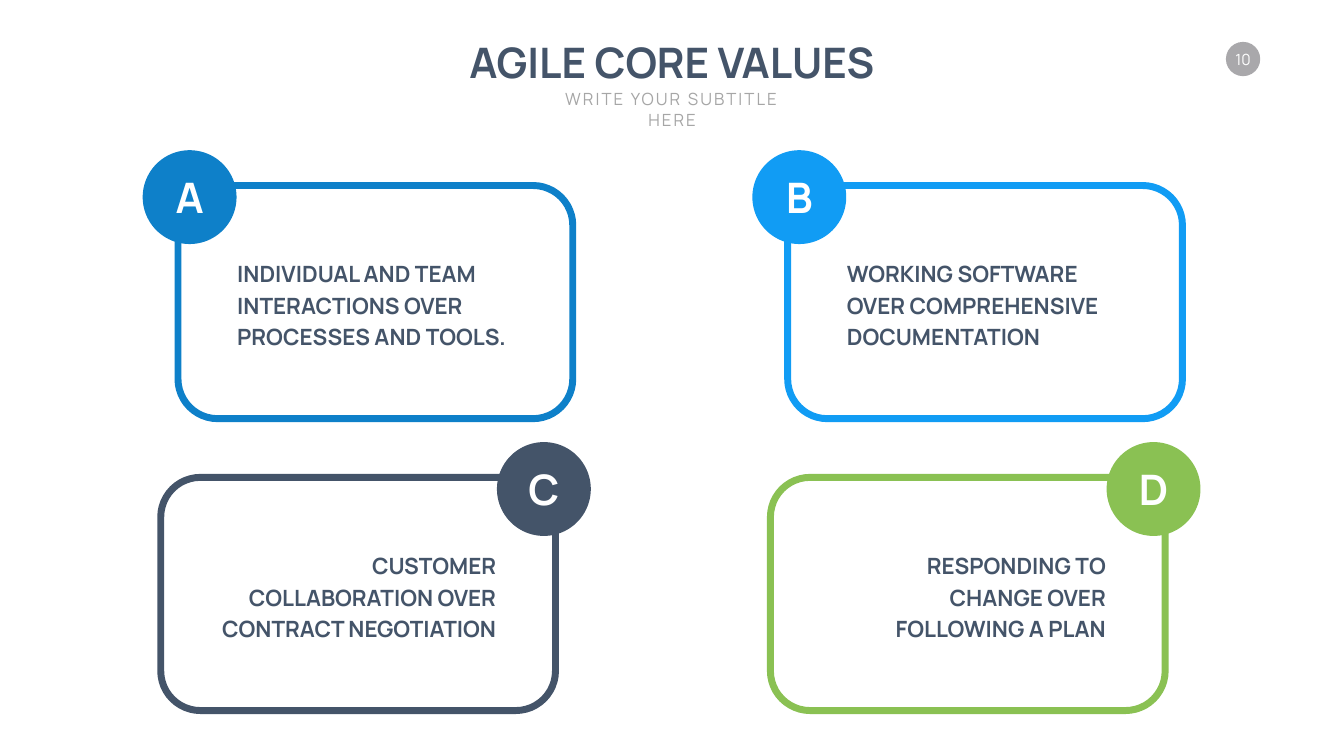
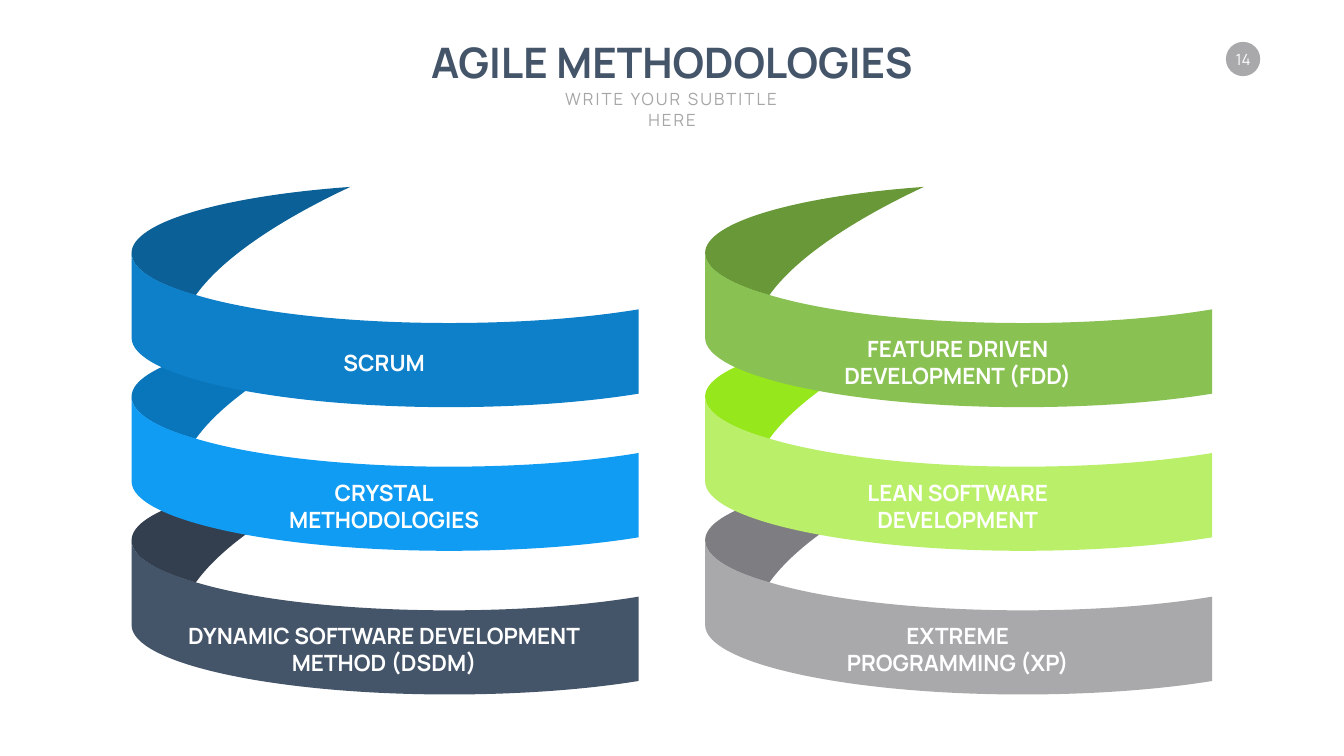
from dataclasses import dataclass, field
from itertools import chain, islice

from lxml import etree
from pptx import Presentation
from pptx.dml.color import RGBColor
from pptx.enum.shapes import MSO_SHAPE
from pptx.enum.text import MSO_ANCHOR, PP_ALIGN
from pptx.oxml.ns import qn
from pptx.util import Cm, Pt


@dataclass(frozen=True)
class Theme:
    white: str = "FFFFFF"
    navy: str = "445469"
    midnight: str = "333F4F"
    blue: str = "0E80C9"
    deep_blue: str = "0A6097"
    sky: str = "119CF4"
    deep_sky: str = "0976BB"
    green: str = "8AC153"
    deep_green: str = "689837"
    lime: str = "BAEF69"
    deep_lime: str = "96E71B"
    silver: str = "A9A8AB"
    deep_silver: str = "7E7D81"
    pale: str = "A6A6A6"
    fonts: dict = field(default_factory=lambda: {
        "heading": {"name": "Manrope", "size": Pt(60), "bold": True},
        "label": {"name": "Manrope", "size": Pt(32), "bold": True},
        "subtitle": {"name": "Manrope", "size": Pt(24), "bold": False},
        "number": {"name": "Manrope", "size": Pt(22), "bold": False},
    })


THEME = Theme()
SLIDE_WIDTH, SLIDE_HEIGHT = 67.72, 38.1

CARD_WIDTH, CARD_HEIGHT = 19.89, 11.75
CARD_COLUMN, CARD_ROW = 30.72, 14.71
BADGE_SIZE, BADGE_OVERHANG = 4.73, 1.78
CARD_TEXT_WIDTH, CARD_TEXT_HEIGHT = 14.43, 5

RIBBON_TOP, RIBBON_PITCH = 12.75, 7.24
RIBBON_FRONT = [
    [(25.55, 2.84)],
    [(25.55, 7.09)],
    [(22.89, 7.52), (19.58, 7.77), (16, 7.77)],
    [(7.16, 7.77), (0, 6.2), (0, 4.27)],
    [(0, 0)],
    [(0, 0.81), (1.22, 1.55), (3.28, 2.13)],
    [(6.2, 3), (10.82, 3.53), (16, 3.53)],
    [(19.58, 3.53), (22.89, 3.28), (25.55, 2.84)],
]
RIBBON_BACK = [
    [(11.02, -3.33)],
    [(8.79, -2.29), (4.93, -0.25), (3.23, 2.13)],
    [(1.19, 1.55), (0, 0.81), (0, 0)],
    [(0, -1.55), (4.62, -2.87), (11.02, -3.33)],
]


def write(shape, lines, style, color, align=PP_ALIGN.CENTER,
          anchor=MSO_ANCHOR.MIDDLE, wrap=False, inset=None, **spacing):
    frame = shape.text_frame
    settings = {"word_wrap": wrap, "vertical_anchor": anchor}
    if inset is not None:
        for side in ("left", "top", "right", "bottom"):
            settings[f"margin_{side}"] = Cm(inset)
    for key, value in settings.items():
        setattr(frame, key, value)
    for index, line in enumerate(lines):
        paragraph = frame.paragraphs[0] if index == 0 else frame.add_paragraph()
        for key, value in {"alignment": align, **spacing}.items():
            setattr(paragraph, key, value)
        run = paragraph.add_run()
        run.text = line
        for key, value in THEME.fonts[style].items():
            setattr(run.font, key, value)
        run.font.color.rgb = RGBColor.from_string(color)
    return frame


def add_text(slide, box, lines, style, color, **options):
    return write(slide.shapes.add_textbox(*map(Cm, box)), lines, style, color, **options)


def paint(shape, fill, border=None, width=None):
    shape.shadow.inherit = False
    shape.fill.solid()
    shape.fill.fore_color.rgb = RGBColor.from_string(fill)
    if border:
        shape.line.color.rgb = RGBColor.from_string(border)
        shape.line.width = Cm(width)
    else:
        shape.line.fill.background()


def add_disc(slide, left, top, size, color, text, style):
    disc = slide.shapes.add_shape(MSO_SHAPE.OVAL, *map(Cm, (left, top, size, size)))
    paint(disc, color)
    write(disc, [text], style, THEME.white, inset=0)


def add_header(slide, title, number):
    add_disc(slide, 61.77, 2.11, 1.73, THEME.silver, number, "number")
    add_text(slide, (21.22, 1.7, 25.27, 2.82), [title], "heading", THEME.navy,
             anchor=MSO_ANCHOR.TOP)
    subtitle = add_text(slide, (26.97, 4.37, 13.79, 1.27), ["WRITE YOUR SUBTITLE HERE"],
                        "subtitle", THEME.pale, anchor=MSO_ANCHOR.TOP, wrap=True)
    subtitle.paragraphs[0].runs[0]._r.get_or_add_rPr().set("spc", "300")


def add_card(slide, left, top, letter, value, color, mirrored):
    card = slide.shapes.add_shape(MSO_SHAPE.ROUNDED_RECTANGLE,
                                  *map(Cm, (left, top, CARD_WIDTH, CARD_HEIGHT)))
    card.adjustments[0] = 0.17
    paint(card, THEME.white, color, 0.35)
    badge_shift = CARD_WIDTH - BADGE_SIZE + BADGE_OVERHANG if mirrored else -BADGE_OVERHANG
    add_disc(slide, left + badge_shift, top - BADGE_OVERHANG, BADGE_SIZE, color,
             letter, "heading")
    margin = (CARD_WIDTH - CARD_TEXT_WIDTH) / 2
    add_text(slide, (left + margin, top + 3.42, CARD_TEXT_WIDTH, CARD_TEXT_HEIGHT),
             [value], "label", THEME.navy, wrap=True, line_spacing=Pt(45),
             align=PP_ALIGN.RIGHT if mirrored else PP_ALIGN.LEFT)


def bend(outline, segments):
    strokes = iter(list(outline._element.iter(qn("a:lnTo"))))
    for segment in segments[1:]:
        first, *rest = islice(strokes, len(segment))
        if not rest:
            continue
        curve = etree.Element(qn("a:cubicBezTo"))
        first.addprevious(curve)
        for stroke in (first, *rest):
            curve.append(stroke[0])
            stroke.getparent().remove(stroke)


def add_outline(slide, left, top, segments, color):
    points = [(Cm(left + x), Cm(top + y)) for x, y in chain.from_iterable(segments)]
    builder = slide.shapes.build_freeform(*points[0])
    builder.add_line_segments(points[1:], close=True)
    outline = builder.convert_to_shape()
    bend(outline, segments)
    paint(outline, color)


def add_ribbon(slide, left, top, lines, front, back):
    add_outline(slide, left, top, RIBBON_BACK, back)
    add_outline(slide, left, top, RIBBON_FRONT, front)
    add_text(slide, (left + 2.2, top + 4, 21.06, 3), lines, "label", THEME.white)


def build_values(slide):
    add_header(slide, "AGILE CORE VALUES", "10")
    values = [
        ("A", "INDIVIDUAL AND TEAM INTERACTIONS OVER PROCESSES AND TOOLS.", THEME.blue),
        ("B", "WORKING SOFTWARE OVER COMPREHENSIVE DOCUMENTATION", THEME.sky),
        ("C", "CUSTOMER COLLABORATION OVER CONTRACT NEGOTIATION", THEME.navy),
        ("D", "RESPONDING TO CHANGE OVER FOLLOWING A PLAN", THEME.green),
    ]
    for index, (letter, value, color) in enumerate(values):
        row, column = divmod(index, 2)
        left = (8.97, 8.1)[row] + column * CARD_COLUMN
        add_card(slide, left, 9.35 + row * CARD_ROW, letter, value, color, row == 1)


def build_methodologies(slide):
    add_header(slide, "AGILE METHODOLOGIES", "14")
    spirals = {
        6.63: [
            (["SCRUM"], THEME.blue, THEME.deep_blue),
            (["CRYSTAL", "METHODOLOGIES"], THEME.sky, THEME.deep_sky),
            (["DYNAMIC SOFTWARE DEVELOPMENT", "METHOD (DSDM)"], THEME.navy, THEME.midnight),
        ],
        35.53: [
            (["FEATURE DRIVEN", "DEVELOPMENT (FDD)"], THEME.green, THEME.deep_green),
            (["LEAN SOFTWARE", "DEVELOPMENT"], THEME.lime, THEME.deep_lime),
            (["EXTREME", "PROGRAMMING (XP)"], THEME.silver, THEME.deep_silver),
        ],
    }
    for left, methods in spirals.items():
        for level, method in reversed(list(enumerate(methods))):
            add_ribbon(slide, left, RIBBON_TOP + level * RIBBON_PITCH, *method)


def main():
    deck = Presentation()
    deck.slide_width, deck.slide_height = Cm(SLIDE_WIDTH), Cm(SLIDE_HEIGHT)
    for build in (build_values, build_methodologies):
        build(deck.slides.add_slide(deck.slide_layouts[6]))
    deck.save("out.pptx")


if __name__ == "__main__":
    main()
